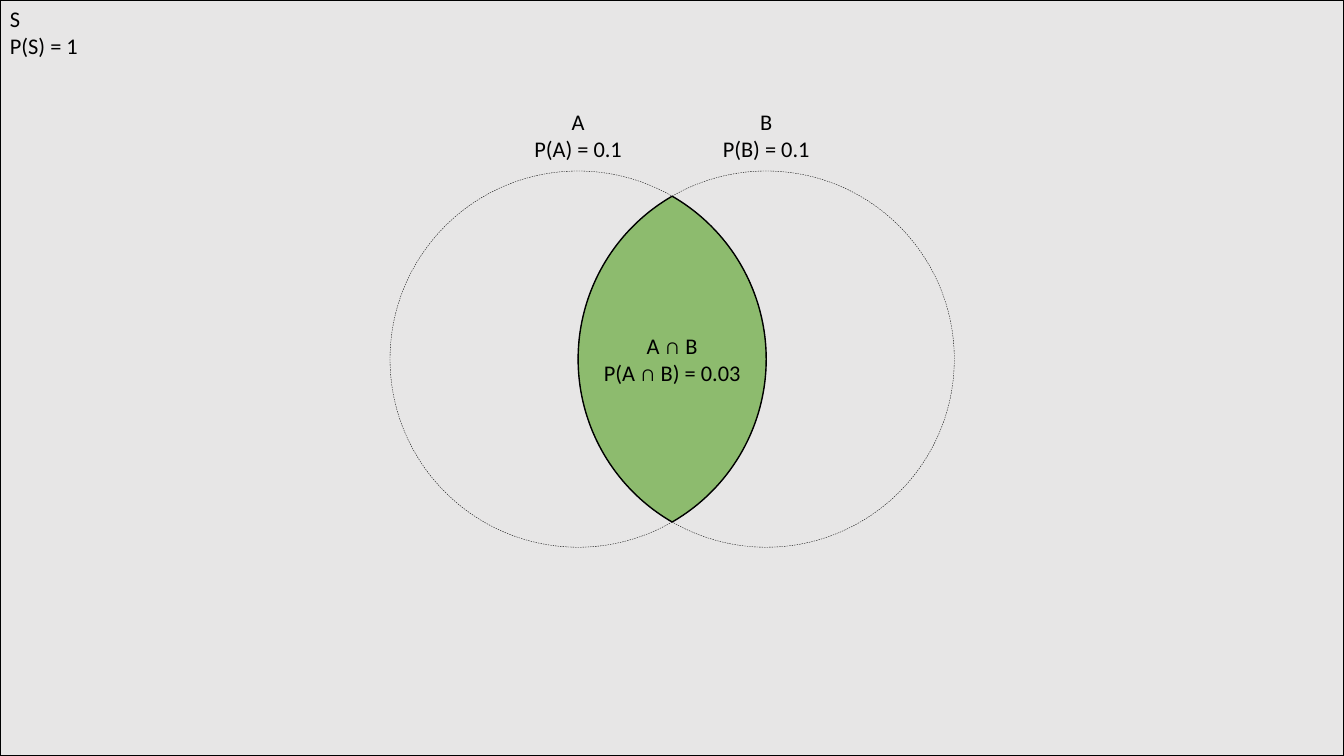
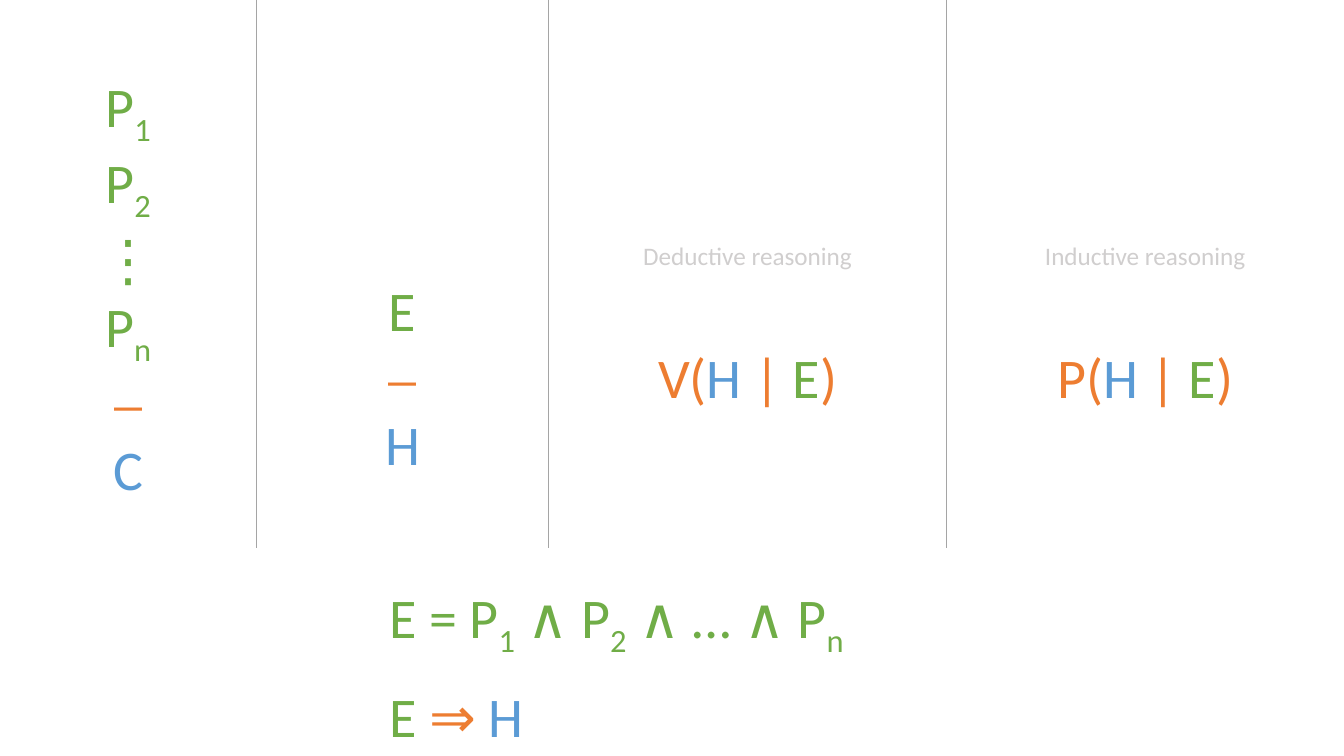
from math import cos, radians, sin, tan

from pptx import Presentation
from pptx.dml.color import RGBColor
from pptx.enum.dml import MSO_LINE
from pptx.enum.shapes import MSO_CONNECTOR, MSO_SHAPE
from pptx.enum.text import MSO_ANCHOR as Anchor, MSO_AUTO_SIZE as AutoSize, PP_ALIGN as Align
from pptx.oxml.ns import qn
from pptx.util import Cm, Pt
from lxml.etree import SubElement

PAGE_WIDTH, PAGE_HEIGHT = 33.87, 19.05
FONT = "Calibri"
BLACK, PALE, MUTED, RULE = "000000", "E7E6E6", "D0CECE", "A5A5A5"
GREEN, ORANGE, BLUE = "70AD47", "ED7D31", "5B9BD5"


def colour(hex_string):
    return RGBColor.from_string(hex_string)


def style_outline(shape, fill, width, dash=None):
    shape.shadow.inherit = False
    if fill:
        shape.fill.solid()
        shape.fill.fore_color.rgb = colour(fill)
    else:
        shape.fill.background()
    shape.line.color.rgb = colour(BLACK)
    shape.line.width = Pt(width)
    if dash:
        shape.line.dash_style = dash


def add_text(page, area, paragraphs, size, ink=BLACK, align=Align.CENTER,
             anchor=Anchor.TOP, grow=True):
    """Each paragraph is a list of spans: (text, colour or None, is subscript)."""
    frame = page.shapes.add_textbox(*map(Cm, area)).text_frame
    frame.word_wrap = True
    frame.vertical_anchor = anchor
    frame.auto_size = AutoSize.SHAPE_TO_FIT_TEXT if grow else AutoSize.NONE
    for number, spans in enumerate(paragraphs):
        para = frame.add_paragraph() if number else frame.paragraphs[0]
        para.alignment = align
        para.font.name, para.font.size = FONT, Pt(size)
        para.font.color.rgb = colour(ink)
        for text, span_ink, is_subscript in spans:
            for index, line in enumerate(text.split("\n")):
                if index:
                    para.add_line_break()
                span = para.add_run()
                span.text = line
                if span_ink:
                    span.font.color.rgb = colour(span_ink)
                if is_subscript:
                    span._r.get_or_add_rPr().set("baseline", "-25000")


def plain(text, ink=None):
    return [(text, ink, False)]


def indexed(letter, index):
    return [(letter, None, False), (index, None, True)]


# Venn diagram

def on_circle(centre, radius, angle, shift=0):
    """Point at an angle, moved along the tangent by shift radii."""
    turn = radians(angle)
    return (Cm(centre[0] + radius * (cos(turn) - shift * sin(turn))),
            Cm(centre[1] + radius * (sin(turn) + shift * cos(turn))))


def arc(centre, radius, *angles):
    """Bézier points through the angles: the start, then three for each piece."""
    points = [on_circle(centre, radius, angles[0])]
    for start, end in zip(angles, angles[1:]):
        shift = 4 / 3 * tan(radians(end - start) / 4)
        points += [on_circle(centre, radius, start, shift),
                   on_circle(centre, radius, end, -shift),
                   on_circle(centre, radius, end)]
    return points


def add_region(page, first_arc, second_arc, fill, width, dash=None):
    builder = page.shapes.build_freeform(*first_arc[0])
    builder.add_line_segments(first_arc[1:] + second_arc[1:], close=True)
    region = builder.convert_to_shape()
    segments = list(region._element.iter(qn("a:lnTo")))
    for first in range(0, len(segments), 3):
        curve = segments[first]
        piece = SubElement(curve.getparent(), qn("a:cubicBezTo"))
        curve.addprevious(piece)
        for segment in segments[first:first + 3]:
            piece.append(segment[0])
            segment.getparent().remove(segment)
    style_outline(region, fill, width, dash)
    return region


def add_venn(page, left, top, radius):
    """Two circles, each passing through the centre of the other."""
    middle = top + radius
    a, b = (left + radius, middle), (left + 2 * radius, middle)

    lens = add_region(page, arc(a, radius, -60, 0, 60), arc(b, radius, 120, 180, 240), GREEN, 1)
    lens_fill = lens._element.spPr.find(qn("a:solidFill"))
    SubElement(lens_fill[0], qn("a:alpha")).set("val", "75000")
    crescents = [
        (arc(b, radius, -120, -90, 0, 90, 120), arc(a, radius, 60, 0, -60)),
        (arc(a, radius, 60, 90, 180, 270, 300), arc(b, radius, 240, 180, 120)),
    ]
    for outer, inner in crescents:
        add_region(page, outer, inner, None, 0.25, MSO_LINE.DASH)

    height = 1.63
    above = top - 0.09 - height
    labels = [("A ∩ B\nP(A ∩ B) = 0.03", (a[0] + b[0]) / 2, middle - height / 2, 4.9),
              ("A\nP(A) = 0.1", a[0], above, 3.38),
              ("B\nP(B) = 0.1", b[0], above, 3.38)]
    for text, centre, label_top, width in labels:
        add_text(page, (centre - width / 2, label_top, width, height), [plain(text)], 16,
                 anchor=Anchor.MIDDLE)


def build_probability_slide(page):
    space = page.shapes.add_shape(MSO_SHAPE.RECTANGLE, 0, 0, Cm(PAGE_WIDTH), Cm(PAGE_HEIGHT))
    style_outline(space, PALE, 1)
    add_venn(page, 9.83, 4.31, 4.74)
    add_text(page, (0, 0, 7.44, 1.63), [plain("S\nP(S) = 1")], 16, align=Align.LEFT)


# Reasoning columns

def add_divider(page, x, bottom):
    divider = page.shapes.add_connector(MSO_CONNECTOR.STRAIGHT, Cm(x), 0, Cm(x), Cm(bottom))
    divider.line.color.rgb = colour(RULE)
    divider.line.width = Pt(0.5)
    SubElement(divider._element.spPr, qn("a:effectLst"))


def add_argument(page, centre, top, width, height, premises, conclusion):
    paragraphs = premises + [plain("⎯", ORANGE), plain(conclusion, BLUE)]
    add_text(page, (centre - width / 2, top, width, height), paragraphs, 40, GREEN)


def add_measure(page, centre, heading, symbol):
    add_text(page, (centre - 3.04, 5.92, 6.08, 1.02), [plain(heading)], 18, MUTED,
             anchor=Anchor.MIDDLE, grow=False)
    formula = [(symbol + "(", None, False), ("H", BLUE, False), (" | ", None, False),
               ("E", GREEN, False), (")", None, False)]
    add_text(page, (centre - 3.3, 8.51, 6.6, 1.96), [formula], 40, ORANGE)


def add_equations(page, left, top):
    conjunction = indexed("E = P", "1") + indexed(" ∧ P", "2") + indexed(" ∧ … ∧ P", "n")
    implication = plain("E ") + plain("⇒ ", ORANGE) + plain("H", BLUE)
    for spans, offset, width in ((conjunction, 0, 15.04), (implication, 2.49, 7.37)):
        add_text(page, (left, top + offset, width, 1.96), [spans], 40, GREEN, Align.LEFT)


def build_reasoning_slide(page):
    edges = [0, 6.46, 13.83, 23.85, PAGE_WIDTH]
    centres = [(left + right) / 2 for left, right in zip(edges, edges[1:])]
    for x in edges[1:-1]:
        add_divider(page, x, 13.82)

    premises = [indexed("P", "1"), indexed("P", "2"), plain("⋮"), indexed("P", "n")]
    add_argument(page, centres[0], 1.67, 3.05, 10.52, premises, "C")
    add_argument(page, centres[1], 6.81, 3.96, 5.38, [plain("E")], "H")
    add_measure(page, centres[2], "Deductive reasoning", "V")
    add_measure(page, centres[3], "Inductive reasoning", "P")
    add_equations(page, 9.56, 14.55)


def main():
    deck = Presentation()
    deck.slide_width, deck.slide_height = Cm(PAGE_WIDTH), Cm(PAGE_HEIGHT)
    blank = deck.slide_layouts[6]
    for build in (build_probability_slide, build_reasoning_slide):
        build(deck.slides.add_slide(blank))
    deck.save("out.pptx")


if __name__ == "__main__":
    main()
